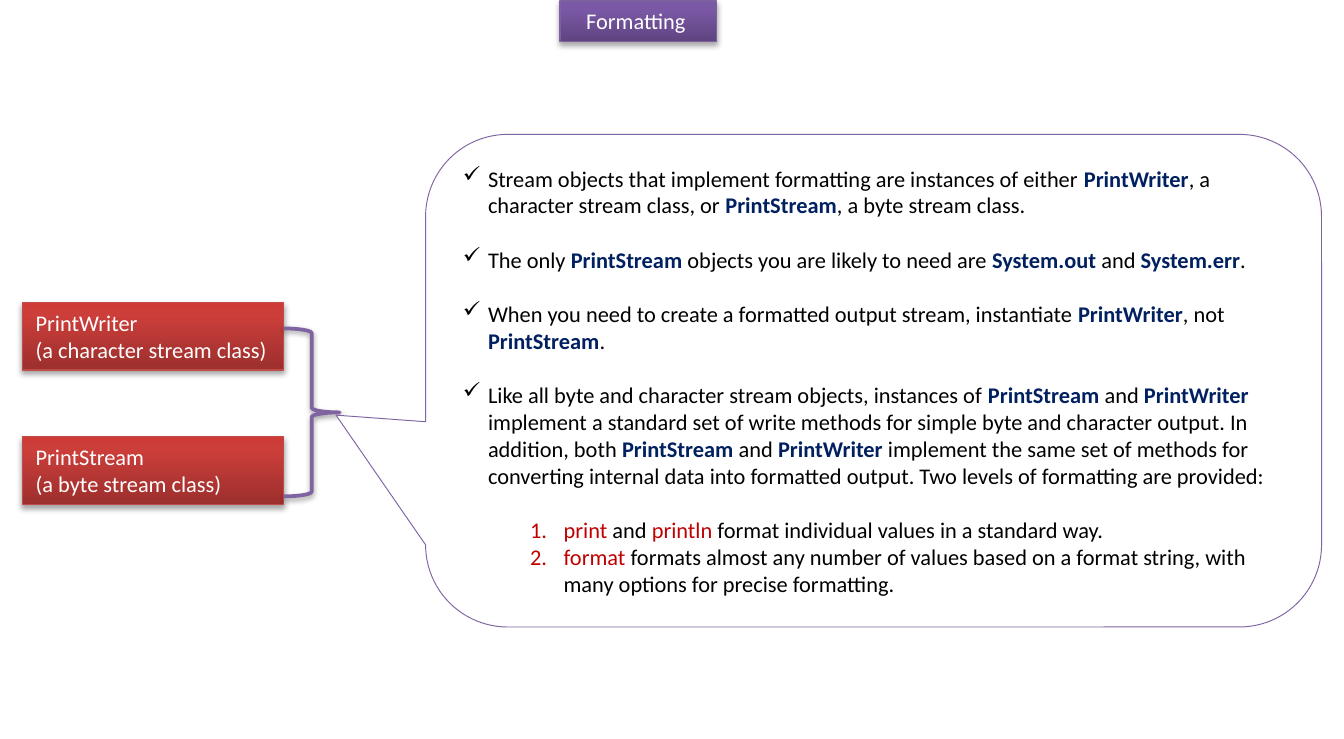
import copy

import pptx
import pptx.dml.color
import pptx.enum.shapes
import pptx.enum.text
import pptx.oxml
import pptx.oxml.ns
import pptx.util
from lxml import etree

Pt = pptx.util.Pt
qn = pptx.oxml.ns.qn
SHAPES = pptx.enum.shapes.MSO_SHAPE
ALIGN = pptx.enum.text.PP_ALIGN
ANCHOR = pptx.enum.text.MSO_ANCHOR

FONT_NAME = "Calibri"
FONT_SIZE = 12
BLANK_LINE = 14.65

COLORS = {
    "white": "FFFFFF",
    "black": "000000",
    "class_name": "002060",
    "method_name": "C00000",
    "purple_line": "8064A2",
    "title_line": "7D60A0",
    "box_line": "BF4C48",
}
# Gradient colours from bottom to top, at 0, 80 and 100 percent
GRADIENTS = {
    "title": ("5F4480", "7B58A6", "7C57A8"),
    "box": ("9C2F2D", "CB3E3A", "CE3B37"),
}

# Text between asterisks is highlighted
BULLETS = [
    "Stream objects that implement formatting are instances of either *PrintWriter*, "
    "a character stream class, or *PrintStream*, a byte stream class.",
    "The only *PrintStream* objects you are likely to need are *System.out *and *System.err*.",
    "When you need to create a formatted output stream, instantiate *PrintWriter*, "
    "not *PrintStream*.",
    "Like all byte and character stream objects, instances of *PrintStream* and *PrintWriter* "
    "implement a standard set of write methods for simple byte and character output. "
    "In addition, both *PrintStream* and *PrintWriter* implement the same set of methods "
    "for converting internal data into formatted output. "
    "Two levels of formatting are provided:",
]
LEVELS = [
    "*print* and *println* format individual values in a standard way.",
    "*format* formats almost any number of values based on a format string, "
    "with many options for precise formatting.",
]


def rgb(hex_string):
    return pptx.dml.color.RGBColor.from_string(hex_string)


def format_run(run, color, bold=False):
    run.font.name = FONT_NAME
    run.font.size = Pt(FONT_SIZE)
    run.font.color.rgb = rgb(color)
    run.font.bold = bold


def add_outlined_shape(slide, kind, left, top, width, height, line_color, line_width):
    shape = slide.shapes.add_shape(kind, Pt(left), Pt(top), Pt(width), Pt(height))
    shape.shadow.inherit = False
    shape.line.color.rgb = rgb(line_color)
    shape.line.width = Pt(line_width)
    return shape


def add_shadow(shape, opacity, distance):
    effects = shape._element.spPr.find(qn("a:effectLst"))
    shadow = etree.SubElement(
        effects, qn("a:outerShdw"), blurRad=str(Pt(3.1)), dist=str(Pt(distance)),
        dir="5400000", rotWithShape="0")
    color = etree.SubElement(shadow, qn("a:srgbClr"), val=COLORS["black"])
    etree.SubElement(color, qn("a:alpha"), val=str(opacity * 1000))


def fill_gradient(shape, colors):
    shape.fill.gradient()
    shape.fill.gradient_angle = 90
    stop_list = next(shape._element.spPr.iter(qn("a:gsLst")))
    stop_list.insert(1, copy.deepcopy(stop_list[0]))
    for stop, color, position in zip(shape.fill.gradient_stops, colors, (0, 0.8, 1)):
        stop.color.rgb = rgb(color)
        stop.position = position


def add_label(slide, text, left, top, width, height, style, alignment):
    shape = add_outlined_shape(slide, SHAPES.RECTANGLE, left, top, width, height,
                               COLORS[style + "_line"], 0.75)
    fill_gradient(shape, GRADIENTS[style])
    add_shadow(shape, 35, 1.8)
    frame = shape.text_frame
    frame.text = text
    frame.word_wrap = True
    frame.auto_size = pptx.enum.text.MSO_AUTO_SIZE.SHAPE_TO_FIT_TEXT
    frame.vertical_anchor = ANCHOR.TOP
    for paragraph in frame.paragraphs:
        paragraph.alignment = alignment
        for run in paragraph.runs:
            format_run(run, COLORS["white"])
    return shape


def add_brace(slide):
    brace = add_outlined_shape(slide, SHAPES.RIGHT_BRACE, 152, 176, 30, 90,
                               COLORS["purple_line"], 2)
    brace.fill.background()
    add_shadow(brace, 38, 1.6)


def add_list_item(paragraph, text, margin, hanging, bullet_tag, bullet_attributes,
                  highlight, bold):
    paragraph.alignment = ALIGN.LEFT
    properties = paragraph._p.get_or_add_pPr()
    properties.set("marL", str(Pt(margin)))
    properties.set("indent", str(Pt(-hanging)))
    etree.SubElement(properties, qn(bullet_tag), bullet_attributes)
    for index, part in enumerate(text.split("*")):
        if part:
            run = paragraph.add_run()
            run.text = part
            highlighted = index % 2 == 1
            format_run(run, highlight if highlighted else COLORS["black"],
                       bold and highlighted)


def add_callout(slide):
    callout = add_outlined_shape(slide, SHAPES.ROUNDED_RECTANGULAR_CALLOUT,
                                 228, 72, 480, 264, COLORS["purple_line"], 0.5)
    callout.adjustments[0] = -0.6
    callout.adjustments[1] = 0.07
    callout.fill.solid()
    callout.fill.fore_color.rgb = rgb(COLORS["white"])
    frame = callout.text_frame
    frame.word_wrap = True
    frame.vertical_anchor = ANCHOR.MIDDLE

    # Check-marked statements
    for index, text in enumerate(BULLETS):
        paragraph = frame.add_paragraph() if index else frame.paragraphs[0]
        if index:
            paragraph.space_before = Pt(BLANK_LINE)
        add_list_item(paragraph, text, 13.5, 13.5, "a:buChar", {"char": "✓"},
                      COLORS["class_name"], True)

    # Numbered levels of formatting
    for index, text in enumerate(LEVELS):
        paragraph = frame.add_paragraph()
        paragraph.level = 1
        if index == 0:
            paragraph.space_before = Pt(BLANK_LINE)
        add_list_item(paragraph, text, 54, 18, "a:buAutoNum", {"type": "arabicPeriod"},
                      COLORS["method_name"], False)


def main():
    presentation = pptx.Presentation()
    presentation.slide_width = Pt(720)
    presentation.slide_height = Pt(396)
    slide = presentation.slides.add_slide(presentation.slide_layouts[6])

    # Title
    add_label(slide, "Formatting ", 300, 0.5, 84, 21.8, "title", ALIGN.CENTER)

    # Stream classes
    writer = add_label(slide, "PrintWriter\n(a character stream class)",
                       12, 162, 140, 36.35, "box", ALIGN.LEFT)
    writer.text_frame.word_wrap = False
    add_label(slide, "PrintStream\n(a byte stream class)",
              12, 234, 140, 36.35, "box", ALIGN.LEFT)
    add_brace(slide)

    # Explanation
    add_callout(slide)

    presentation.save("out.pptx")


if __name__ == "__main__":
    main()
